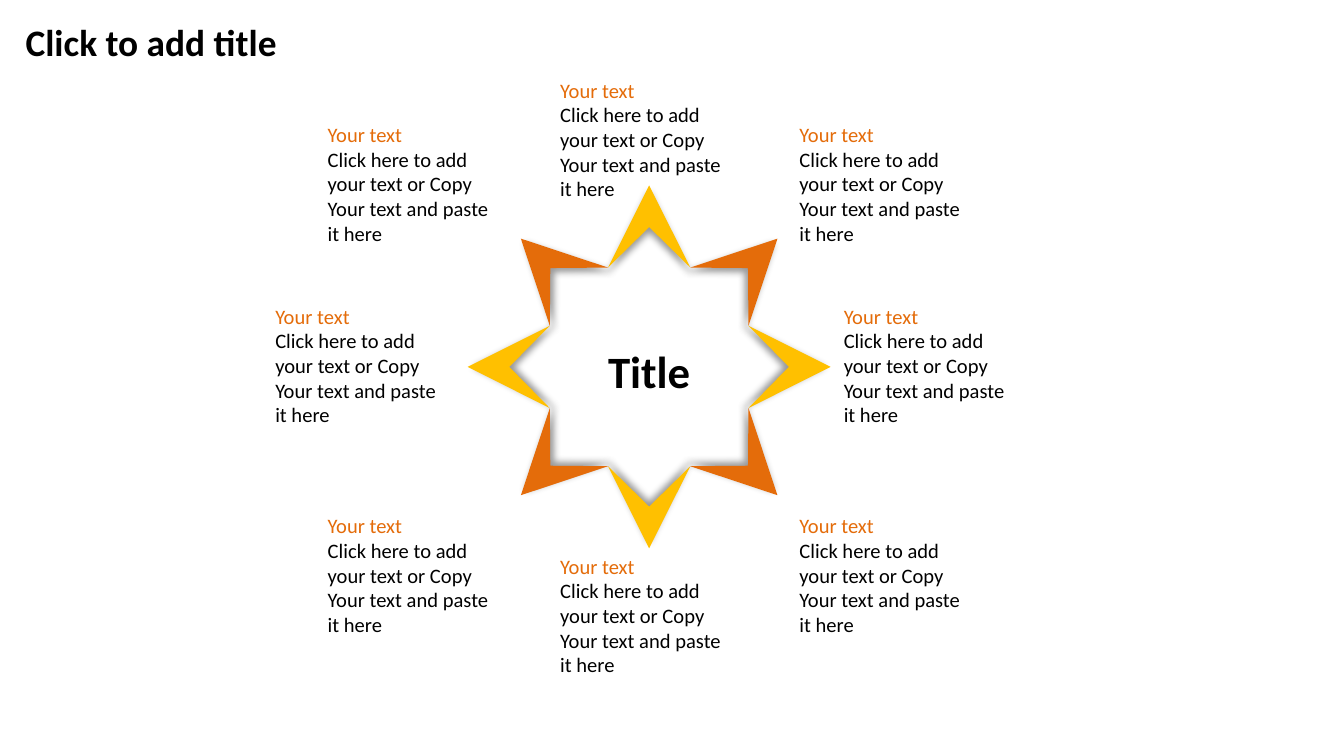
from math import cos, radians, sin

from lxml import etree
from pptx import Presentation
from pptx.dml.color import RGBColor
from pptx.enum.text import MSO_ANCHOR, PP_ALIGN
from pptx.oxml.ns import qn
from pptx.util import Inches, Pt

CENTER, TOP = PP_ALIGN.CENTER, MSO_ANCHOR.TOP
TITLE_ONLY = 5
SLIDE_WIDTH = 10
SLIDE_HEIGHT = SLIDE_WIDTH * 9 / 16
FONT = "Calibri"
YELLOW, ORANGE, BLACK = "FFC000", "E46C0A", "000000"

# Content
HEADING = "Click to add title"
HUB = "Title"
CAPTION = ["Your text", "Click here to add", "your text or Copy",
           "Your text and paste", "it here"]

# Star: angles in degrees clockwise from the right, lengths in inches
CENTER_X, CENTER_Y = 4.83, 2.73
TIP, NOTCH, VALLEY = 1.35, 1.04, 0.8
STEP = 45
RAYS = [(YELLOW, (270, 0, 90, 180)), (ORANGE, (225, 315, 135, 45))]

# Captions: left and top of each box
CAPTION_SIZE = (1.5, 1.03)
LEFT, MIDDLE, RIGHT = 2.34, 4.07, 5.85
UPPER, LOWER = 0.86, 3.77
CAPTION_SPOTS = [(1.95, 2.21), (6.18, 2.21), (MIDDLE, 0.53), (MIDDLE, 4.07),
                 (RIGHT, LOWER), (LEFT, LOWER), (RIGHT, UPPER), (LEFT, UPPER)]


def color(hex_text):
    return RGBColor.from_string(hex_text)


def polar(radius, angle):
    return (Inches(CENTER_X + radius * cos(radians(angle))),
            Inches(CENTER_Y + radius * sin(radians(angle))))


def add_shadow(shape, direction):
    shape.shadow.inherit = False
    effects = shape._element.spPr.find(qn("a:effectLst"))
    outer = etree.SubElement(effects, qn("a:outerShdw"), blurRad=str(Pt(4)),
                             dist=str(Pt(3)), dir=str(direction * 60000),
                             algn="ctr", rotWithShape="0")
    tint = etree.SubElement(outer, qn("a:srgbClr"), val=BLACK)
    etree.SubElement(tint, qn("a:alpha"), val="40000")


def add_ray(slide, angle, fill):
    corners = [polar(VALLEY, angle - STEP / 2), polar(TIP, angle),
               polar(VALLEY, angle + STEP / 2), polar(NOTCH, angle)]
    builder = slide.shapes.build_freeform(*corners[0])
    builder.add_line_segments(corners[1:], close=True)
    ray = builder.convert_to_shape()
    ray.fill.solid()
    ray.fill.fore_color.rgb = color(fill)
    ray.line.fill.background()
    add_shadow(ray, (angle + 180) % 360)  # towards the centre


def write(frame, lines, size, colors, bold=False, align=None):
    frame.text = "\n".join(lines)
    for paragraph, tone in zip(frame.paragraphs, colors):
        paragraph.alignment = align
        font = paragraph.font
        font.name, font.size, font.bold = FONT, Pt(size), bold
        font.color.rgb = color(tone)


def place(shape, left, top, width, height):
    shape.left, shape.top = Inches(left), Inches(top)
    shape.width, shape.height = Inches(width), Inches(height)


def main():
    prs = Presentation()
    prs.slide_width, prs.slide_height = Inches(SLIDE_WIDTH), Inches(SLIDE_HEIGHT)
    slide = prs.slides.add_slide(prs.slide_layouts[TITLE_ONLY])

    # Heading
    heading = slide.shapes.title
    place(heading, 0.08, 0.09, 2.09, 0.44)
    write(heading.text_frame, [HEADING], 20, [BLACK], True, CENTER)
    heading.text_frame.word_wrap = False
    heading.text_frame.vertical_anchor = TOP

    # Star
    for fill, angles in RAYS:
        for angle in angles:
            add_ray(slide, angle, fill)

    # Captions around the star
    caption_colors = [ORANGE] + [BLACK] * (len(CAPTION) - 1)
    for left, top in CAPTION_SPOTS:
        caption = slide.shapes.add_textbox(0, 0, 0, 0)
        place(caption, left, top, *CAPTION_SIZE)
        caption.text_frame.word_wrap = True
        write(caption.text_frame, CAPTION, 11, caption_colors)

    # Word in the middle of the star
    hub = slide.shapes.add_textbox(0, 0, 0, 0)
    place(hub, 4.42, 2.51, 0.82, 0.5)
    hub.text_frame.word_wrap = False
    write(hub.text_frame, [HUB], 24, [BLACK], True, CENTER)

    prs.save("out.pptx")


if __name__ == "__main__":
    main()
